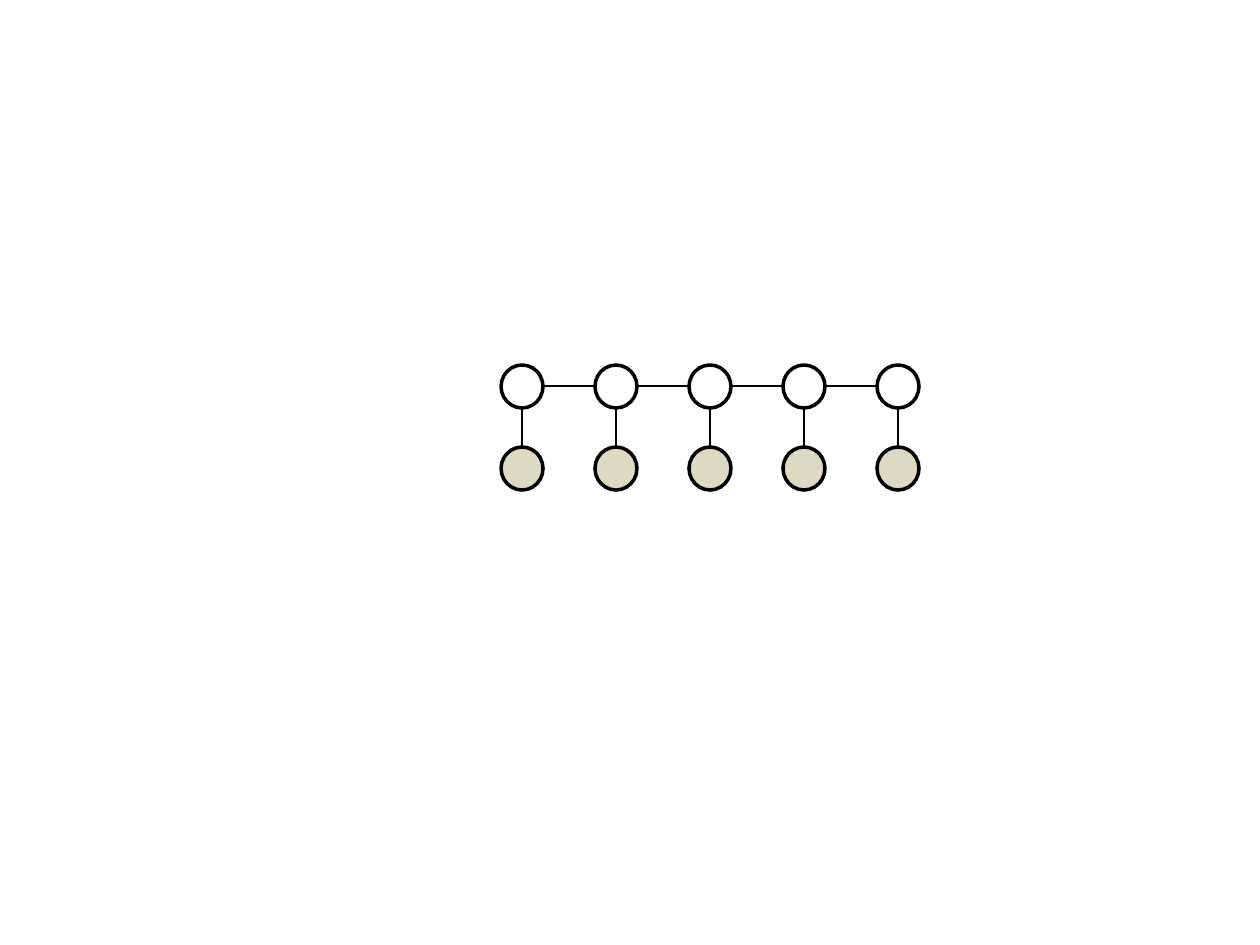
from dataclasses import dataclass
from itertools import pairwise

from lxml.etree import SubElement
from pptx import Presentation
from pptx.dml.color import RGBColor
from pptx.enum.shapes import MSO_CONNECTOR as Connector, MSO_SHAPE as Shape
from pptx.oxml.ns import qn
from pptx.util import Emu, Inches, Pt

PX_PER_INCH = 126


def px(length):
    return Emu(round(length * Inches(1) / PX_PER_INCH))


@dataclass(frozen=True)
class Theme:
    ink: RGBColor = RGBColor.from_string("000000")
    observed: RGBColor = RGBColor.from_string("DDD9C3")
    node_outline: Pt = Pt(2)
    edge: Pt = Pt(1.25)


class GraphPainter:
    def __init__(self, slide, theme):
        self.slide = slide
        self.theme = theme

    def node(self, left, top, width, height, fill=None):
        circle = self.slide.shapes.add_shape(
            Shape.OVAL, px(left), px(top), px(width), px(height))
        circle.shadow.inherit = False
        if fill is None:
            circle.fill.background()
        else:
            circle.fill.solid()
            circle.fill.fore_color.rgb = fill
        circle.line.color.rgb = self.theme.ink
        circle.line.width = self.theme.node_outline

    def edge(self, x1, y1, x2, y2):
        link = self.slide.shapes.add_connector(
            Connector.STRAIGHT, px(x1), px(y1), px(x2), px(y2))
        link.line.color.rgb = self.theme.ink
        link.line.width = self.theme.edge
        SubElement(link._element.spPr, qn("a:effectLst"))


def main():
    deck = Presentation()
    deck.slide_width, deck.slide_height = Inches(10), Inches(7.5)
    theme = Theme()
    painter = GraphPainter(deck.slides.add_slide(deck.slide_layouts[6]), theme)

    width, height = 42, 43
    hidden_top, observed_top = 365, 447
    columns = [501 + 94 * step for step in range(5)]

    for left in columns:
        middle = left + width // 2
        painter.node(left, hidden_top, width, height)
        painter.node(left, observed_top, width, height, theme.observed)
        painter.edge(middle, observed_top, middle, hidden_top + height)

    chain_y = hidden_top + height // 2
    for left, following in pairwise(columns):
        painter.edge(left + width, chain_y, following, chain_y)

    deck.save("out.pptx")


if __name__ == "__main__":
    main()
